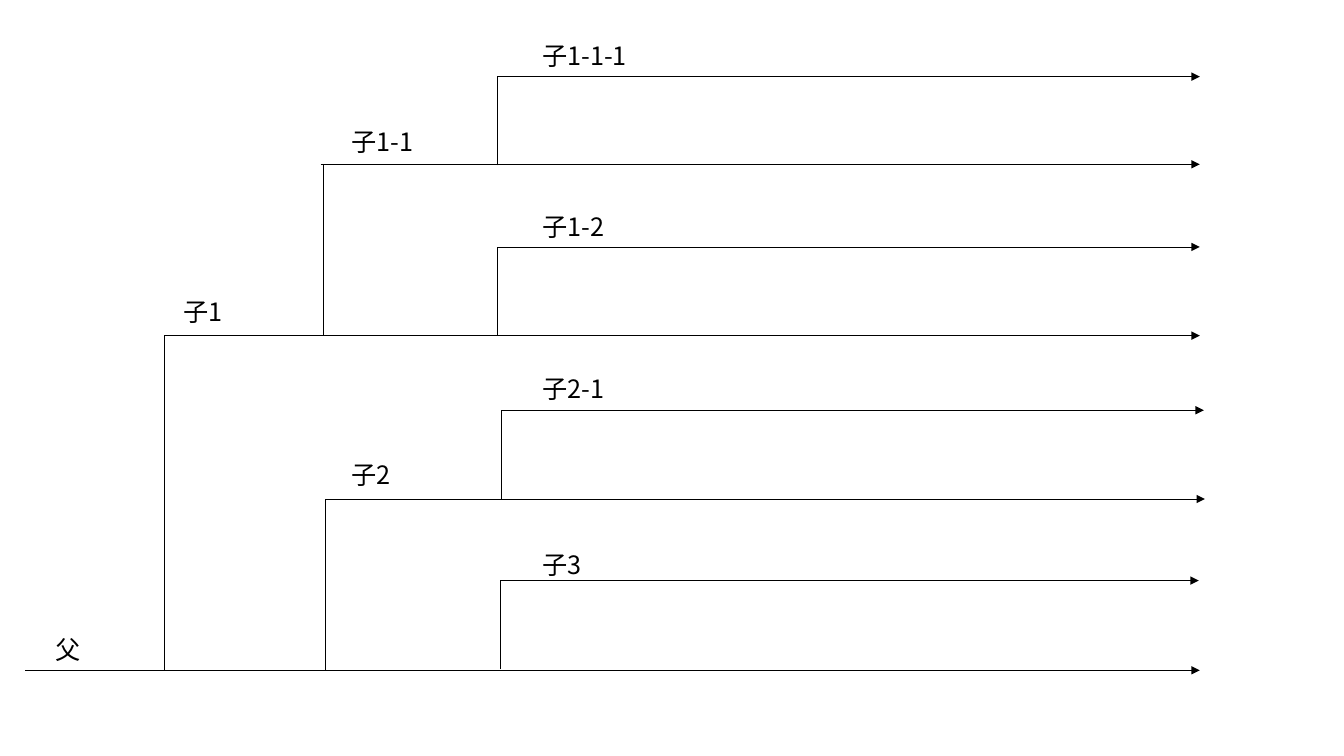
from typing import NamedTuple, Optional

from pptx import Presentation
from pptx import util as u
from pptx.dml import color
from pptx.enum import shapes, text
from pptx.oxml import ns
from lxml import etree

COLORS = {"ink": "000000"}
FONT = "Noto Sans CJK SC"
LABEL_HEIGHT = 0.4


class Branch(NamedTuple):
    label: str
    start: float
    level: float
    end: float
    label_left: float
    label_top: float
    fork_level: Optional[float] = None
    fork_x: Optional[float] = None
    label_width: float = 0.98


BRANCHES = [
    Branch("父", 0.25, 6.65, 11.9, 0.45, 6.24),
    Branch("子1", 1.63, 3.33, 11.9, 1.72, 2.89, 6.65),
    Branch("子1-1", 3.18, 1.63, 11.9, 3.39, 1.2, 3.33, fork_x=3.21),
    Branch("子1-1-1", 4.93, 0.76, 11.9, 5.28, 0.35, 1.64, label_width=1.37),
    Branch("子1-2", 4.93, 2.45, 11.9, 5.28, 2.05, 3.33),
    Branch("子2", 3.23, 4.95, 11.95, 3.39, 4.51, 6.65),
    Branch("子2-1", 4.97, 4.07, 11.94, 5.28, 3.65, 4.95),
    Branch("子3", 4.96, 5.76, 11.89, 5.28, 5.4, 6.64),
]


def add_line(page, start: tuple, end: tuple, arrow: bool = False) -> None:
    points = [u.Inches(value) for value in (*start, *end)]
    line = page.shapes.add_connector(shapes.MSO_CONNECTOR.STRAIGHT, *points)
    line.line.color.rgb = color.RGBColor.from_string(COLORS["ink"])
    line.line.width = u.Pt(0.5)
    properties = line._element.spPr
    if arrow:
        outline = properties.find(ns.qn("a:ln"))
        etree.SubElement(outline, ns.qn("a:tailEnd"), type="triangle")
    etree.SubElement(properties, ns.qn("a:effectLst"))


def add_label(page, branch: Branch) -> None:
    box = page.shapes.add_textbox(
        u.Inches(branch.label_left), u.Inches(branch.label_top),
        u.Inches(branch.label_width), u.Inches(LABEL_HEIGHT))
    frame = box.text_frame
    frame.text = branch.label
    frame.word_wrap = True
    frame.auto_size = text.MSO_AUTO_SIZE.SHAPE_TO_FIT_TEXT
    span = frame.paragraphs[0].runs[0]
    span.font.size = u.Pt(18)
    span.font.name = FONT
    span.font.color.rgb = color.RGBColor.from_string(COLORS["ink"])
    etree.SubElement(span.font._element, ns.qn("a:ea"), typeface=FONT)


def add_branch(page, branch: Branch) -> None:
    if branch.fork_level is not None:
        fork_x = branch.start if branch.fork_x is None else branch.fork_x
        add_line(page, (fork_x, branch.fork_level), (fork_x, branch.level))
    add_line(page, (branch.start, branch.level),
             (branch.end, branch.level), arrow=True)
    add_label(page, branch)


deck = Presentation()
deck.slide_width = u.Inches(13.33)
deck.slide_height = u.Inches(7.5)
page = deck.slides.add_slide(deck.slide_layouts[6])
for branch in BRANCHES:
    add_branch(page, branch)
deck.save("out.pptx")
